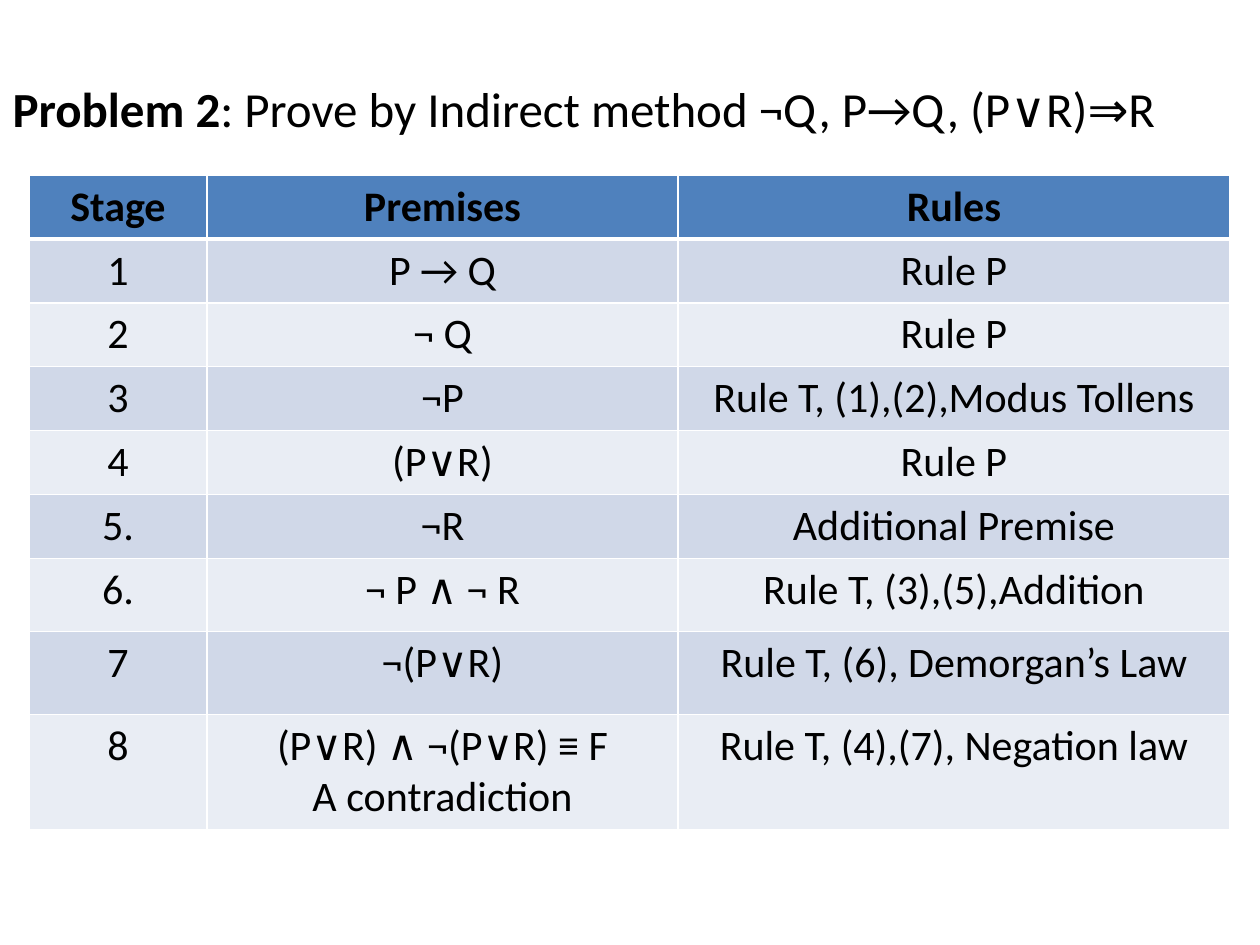
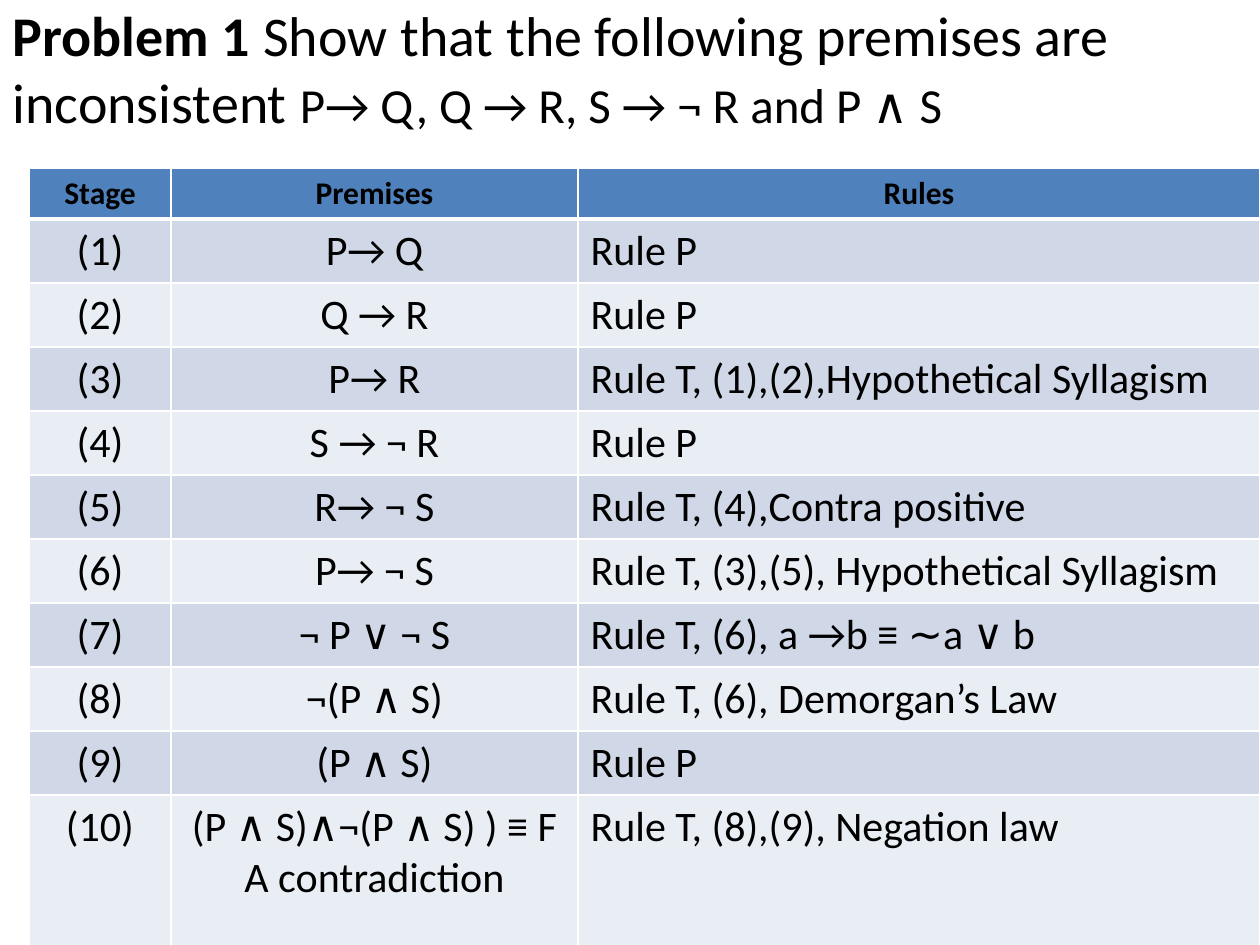
import dataclasses
import pptx
import pptx.dml.color
import pptx.enum.text
import pptx.oxml
import pptx.oxml.ns
import pptx.util

PX = 914400 / 126
ANCHOR = pptx.enum.text.MSO_ANCHOR
LEFT = pptx.enum.text.PP_ALIGN.LEFT
MID = pptx.enum.text.PP_ALIGN.CENTER


@dataclasses.dataclass(frozen=True)
class Theme:
    font: str = "Calibri"
    ink: str = "000000"
    head: str = "4F81BD"
    bands: tuple = ("D0D8E8", "E9EDF4")
    rule: str = "FFFFFF"
    thin: int = 1
    thick: int = 3
    large: int = 32
    title: int = 28
    cell: int = 24
    small: int = 18


THEME = Theme()


def px(count):
    return pptx.util.Emu(round(count * PX))


def rgb(code):
    return pptx.dml.color.RGBColor.from_string(code)


def write(frame, text, size=THEME.cell, bold=False, align=LEFT, more=False):
    for row, line in enumerate(text.split("\n")):
        para = frame.paragraphs[0]
        if row:
            para = frame.add_paragraph()
        para.alignment = align
        run = para.add_run()
        run.text = line
        font = run.font
        font.name = THEME.font
        font.size = pptx.util.Pt(size)
        font.bold = bold
        font.color.rgb = rgb(THEME.ink)


def edge(cell, side, width):
    names = pptx.oxml.ns.nsdecls("a")
    line = pptx.oxml.parse_xml(
        f'<a:{side} {names} w="{pptx.util.Pt(width)}"><a:solidFill>'
        f'<a:srgbClr val="{THEME.rule}"/></a:solidFill></a:{side}>')
    cell._tc.get_or_add_tcPr().append(line)


def head(slide, box, parts, anchor=ANCHOR.MIDDLE):
    title = slide.shapes.title
    title.left, title.top, title.width, title.height = map(px, box)
    frame = title.text_frame
    frame.word_wrap = True
    frame.auto_size = pptx.enum.text.MSO_AUTO_SIZE.NONE
    frame.vertical_anchor = anchor
    if anchor == ANCHOR.TOP:
        frame.margin_top = 0
    for text, size, bold in parts:
        write(frame, text, size=size, bold=bold)


def proof(slide, spot, cols, highs, rows, top=THEME.cell, last=MID):
    left, up = spot
    grid = slide.shapes.add_table(
        len(rows), len(cols), px(left), px(up),
        px(sum(cols)), px(sum(highs))).table
    for col, width in zip(grid.columns, cols):
        col.width = px(width)
    for row, high in zip(grid.rows, highs):
        row.height = px(high)
    for num, row in enumerate(rows):
        for col, text in enumerate(row):
            cell = grid.cell(num, col)
            for side in ("lnL", "lnR", "lnT", "lnB"):
                heavy = (num, side) in ((0, "lnB"), (1, "lnT"))
                edge(cell, side, THEME.thick if heavy else THEME.thin)
            cell.fill.solid()
            tint = THEME.bands[(num - 1) % 2] if num else THEME.head
            cell.fill.fore_color.rgb = rgb(tint)
            align = last if num and col == len(cols) - 1 else MID
            write(cell.text_frame, text, size=THEME.cell if num else top,
                  bold=num == 0, align=align)


LABELS = ("Stage", "Premises", "Rules")

INDIRECT = (
    LABELS,
    ("1", "P → Q", "Rule P"),
    ("2", "¬ Q", "Rule P"),
    ("3", "¬P", "Rule T, (1),(2),Modus Tollens"),
    ("4", "(P∨R)", "Rule P"),
    ("5.", "¬R", "Additional Premise"),
    ("6.", "¬ P ∧ ¬ R", "Rule T, (3),(5),Addition"),
    ("7", "¬(P∨R)", "Rule T, (6), Demorgan’s Law"),
    ("8", "(P∨R) ∧ ¬(P∨R) ≡ F\nA contradiction",
     "Rule T, (4),(7), Negation law"),
)

STEPS = (
    ("P→ Q", "Rule P"),
    ("Q → R", "Rule P"),
    ("P→ R", "Rule T, (1),(2),Hypothetical Syllagism"),
    ("S → ¬ R", "Rule P"),
    ("R→ ¬ S", "Rule T, (4),Contra positive"),
    ("P→ ¬ S", "Rule T, (3),(5), Hypothetical Syllagism"),
    ("¬ P ∨ ¬ S", "Rule T, (6), a →b ≡ ∼a ∨ b"),
    ("¬(P ∧ S)", "Rule T, (6), Demorgan’s Law"),
    ("(P ∧ S)", "Rule P"),
    ("(P ∧ S)∧¬(P ∧ S) ) ≡ F\nA contradiction",
     "Rule T, (8),(9), Negation law"),
)


def main():
    deck = pptx.Presentation()
    deck.slide_width, deck.slide_height = px(1260), px(945)
    plain = deck.slide_layouts[5]

    slide = deck.slides.add_slide(plain)
    head(slide, (0, 38, 1260, 140), (
        ("Problem 2", THEME.title, True),
        (": Prove by Indirect method ¬Q, P→Q, (P∨R)⇒R", THEME.title, False)))
    proof(slide, (29, 175), (178, 471, 552), [62] * 6 + [73, 83, 111], INDIRECT)

    slide = deck.slides.add_slide(plain)
    head(slide, (0, 0, 1260, 195), (
        ("Problem 1", THEME.large, True),
        (" Show that the following premises are inconsistent ",
         THEME.large, False),
        ("P→ Q, Q → R, S → ¬ R and P ∧ S", THEME.title, False)),
        anchor=ANCHOR.TOP)
    rows = [LABELS] + [(f"({num})", *step) for num, step in enumerate(STEPS, 1)]
    proof(slide, (29, 168), (142, 407, 682), [50] + [64] * 9 + [152], rows,
          top=THEME.small, last=LEFT)

    deck.save("out.pptx")


if __name__ == "__main__":
    main()
